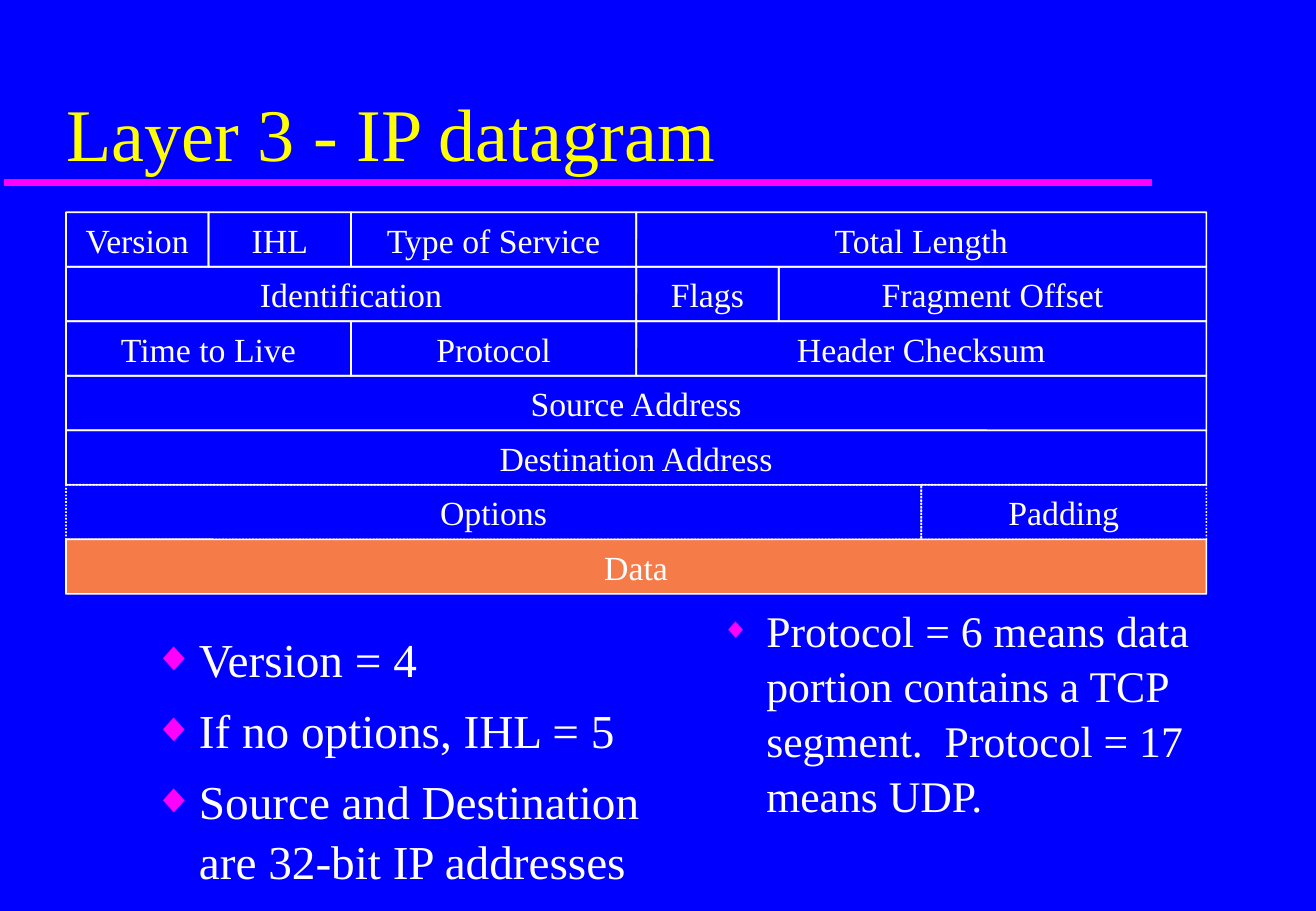
import pptx
import pptx.util
import pptx.dml.color
import pptx.enum.dml
import pptx.enum.shapes
import pptx.enum.text
import pptx.oxml.ns
from lxml import etree

Cm = pptx.util.Cm
Pt = pptx.util.Pt
ALIGN = pptx.enum.text.PP_ALIGN
ANCHOR = pptx.enum.text.MSO_ANCHOR

FONT = "Times New Roman"
HUES = {"back": "0000FF", "title": "FFFF00", "mark": "FF00FF",
        "text": "FFFFFF", "data": "F57B49"}

TITLE = "Layer 3 - IP datagram"
ROWS = [
    [("Version", 4), ("IHL", 4), ("Type of Service", 8), ("Total Length", 16)],
    [("Identification", 16), ("Flags", 4), ("Fragment Offset", 12)],
    [("Time to Live", 8), ("Protocol", 8), ("Header Checksum", 16)],
    [("Source Address", 32)],
    [("Destination Address", 32)],
    [("Options", 24), ("Padding", 8)],
    [("Data", 32)],
]
DOTTED = ("Options", "Padding")
NOTES = [
    {"box": (2.97, 13, 11.4, 5.7), "size": 28, "mark": 87, "lines": [
        "Version = 4",
        "If no options, IHL = 5",
        "Source and Destination are 32-bit IP addresses"]},
    {"box": (14.83, 12.45, 11.4, 5), "size": 25.9, "mark": 65, "lines": [
        "Protocol = 6 means data portion contains a TCP segment.  "
        "Protocol = 17 means UDP."]},
]
LEFT, TOP, BIT, HIGH = 1.38, 4.44, 0.745, 1.14
INDENT = 0.94


def hue(name):
    return pptx.dml.color.RGBColor.from_string(HUES[name])


def style(para, size, name="text"):
    para.font.name = FONT
    para.font.size = Pt(size)
    para.font.color.rgb = hue(name)


def add_child(node, tag, **attrs):
    return etree.SubElement(node, pptx.oxml.ns.qn(tag), attrs)


def add_text(slide, box):
    frame = slide.shapes.add_textbox(*map(Cm, box)).text_frame
    frame.word_wrap = True
    return frame


def add_title(slide):
    frame = add_text(slide, (1.14, 0.74, 23.37, 3.07))
    frame.vertical_anchor = ANCHOR.BOTTOM
    frame.text = TITLE
    style(frame.paragraphs[0], 44, "title")


def add_rule(slide):
    rule = slide.shapes.add_connector(
        pptx.enum.shapes.MSO_CONNECTOR.STRAIGHT,
        Cm(0.08), Cm(3.81), Cm(24.08), Cm(3.81))
    rule.line.color.rgb = hue("mark")
    rule.line.width = Pt(4)
    add_child(rule._element.spPr, "a:effectLst")


def add_field(slide, name, start, bits, row):
    field = slide.shapes.add_shape(
        pptx.enum.shapes.MSO_SHAPE.ROUNDED_RECTANGLE,
        Cm(LEFT + start * BIT), Cm(TOP + row * HIGH), Cm(bits * BIT), Cm(HIGH))
    field.adjustments[0] = 0.004
    field.shadow.inherit = False
    if name == "Data":
        field.fill.solid()
        field.fill.fore_color.rgb = hue("data")
    else:
        field.fill.background()
    field.line.color.rgb = hue("text")
    field.line.width = Pt(1)
    if name in DOTTED:
        field.line.dash_style = pptx.enum.dml.MSO_LINE.ROUND_DOT
    frame = field.text_frame
    frame.margin_left = frame.margin_right = Cm(0.13)
    frame.margin_top = frame.margin_bottom = Cm(0.13)
    frame.vertical_anchor = ANCHOR.MIDDLE
    frame.text = name
    frame.paragraphs[0].alignment = ALIGN.CENTER
    style(frame.paragraphs[0], 20)


def add_notes(slide, note):
    frame = add_text(slide, note["box"])
    frame.text = "\n".join(note["lines"])
    for para in frame.paragraphs:
        style(para, note["size"])
        para.space_before = Pt(6.8)
        para.line_spacing = 1.05
        props = para._p.get_or_add_pPr()
        props.set("marL", str(Cm(INDENT)))
        props.set("indent", str(-Cm(INDENT)))
        tint = add_child(props, "a:buClr")
        add_child(tint, "a:srgbClr", val=HUES["mark"])
        add_child(props, "a:buSzPct", val=str(note["mark"] * 1000))
        add_child(props, "a:buFont", typeface=FONT)
        add_child(props, "a:buChar", char="◆")
        rest = props.find(pptx.oxml.ns.qn("a:defRPr"))
        if rest is not None:
            props.append(rest)


def main():
    deck = pptx.Presentation()
    deck.slide_width, deck.slide_height = Cm(27.51), Cm(19.05)
    slide = deck.slides.add_slide(deck.slide_layouts[6])
    slide.background.fill.solid()
    slide.background.fill.fore_color.rgb = hue("back")
    add_rule(slide)
    add_title(slide)
    for row, fields in enumerate(ROWS):
        start = 0
        for name, bits in fields:
            add_field(slide, name, start, bits, row)
            start += bits
    for note in NOTES:
        add_notes(slide, note)
    deck.save("out.pptx")


if __name__ == "__main__":
    main()
